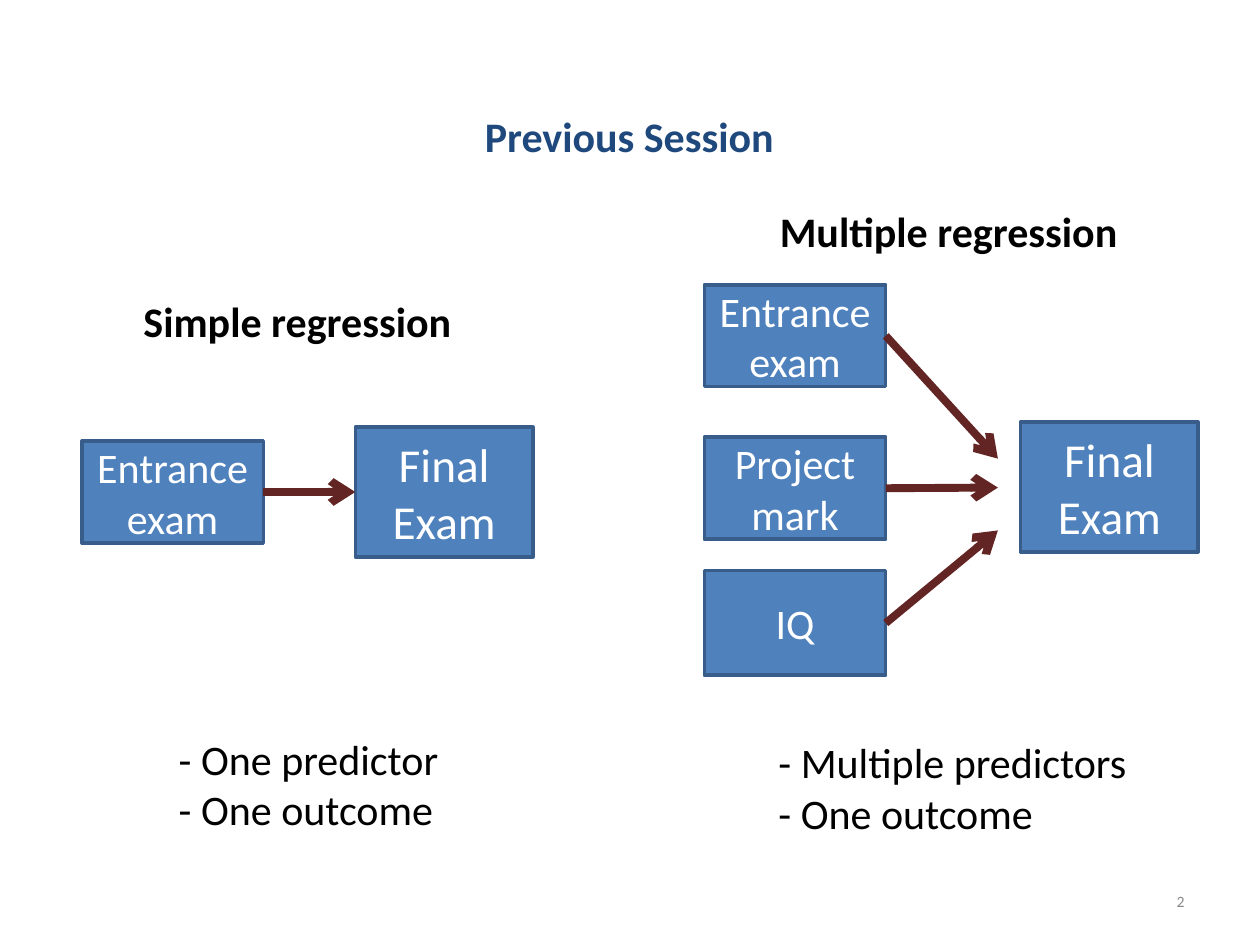
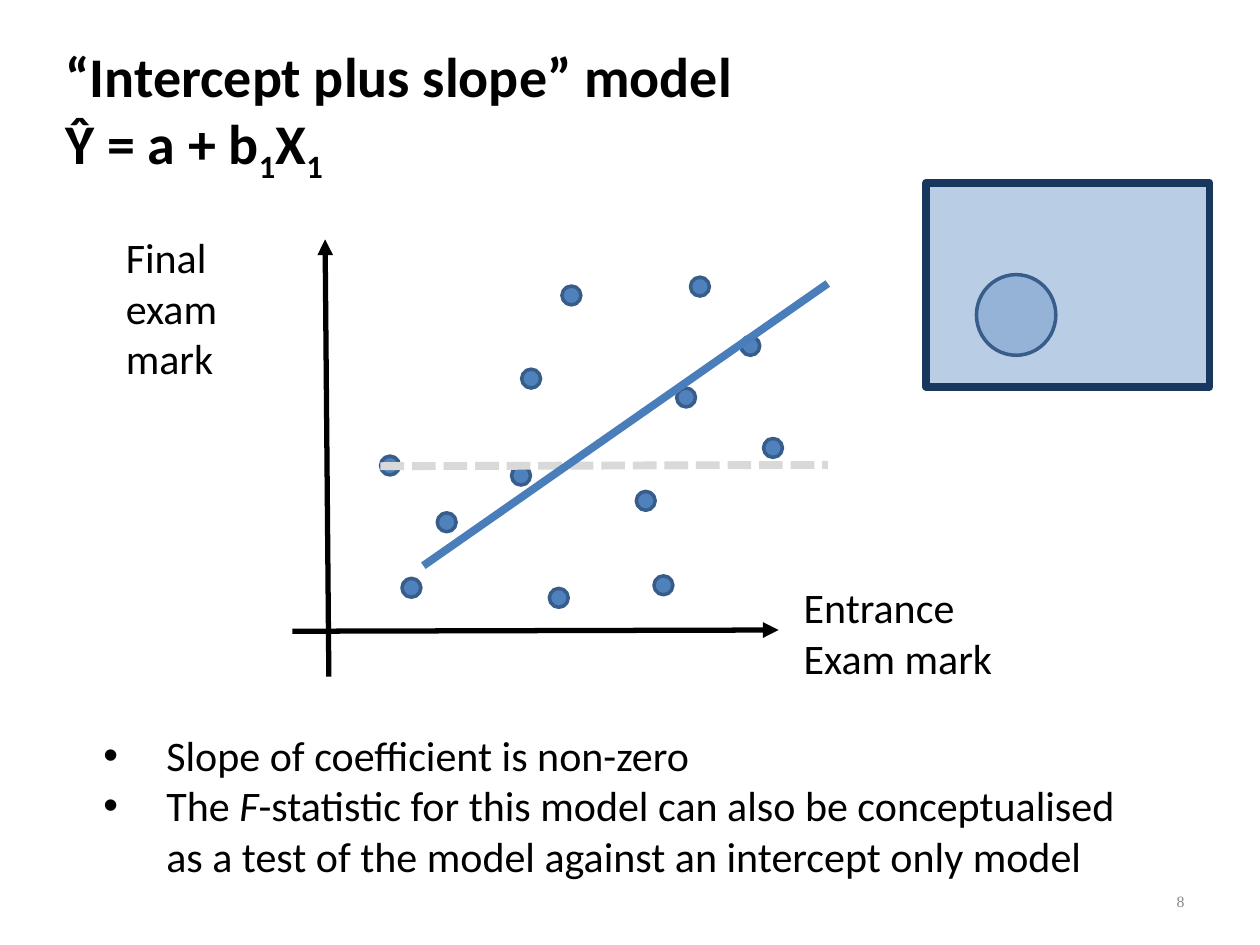
"""Builds two slides on simple and multiple regression and the intercept plus slope model."""
import pptx
import pptx.dml.color
import pptx.enum.dml
import pptx.enum.shapes
import pptx.enum.text
import pptx.oxml
import pptx.oxml.ns
import pptx.util
from pptx.util import Inches

SHAPES = pptx.enum.shapes.MSO_SHAPE
ALIGN = pptx.enum.text.PP_ALIGN
ANCHOR = pptx.enum.text.MSO_ANCHOR
DASHES = pptx.enum.dml.MSO_LINE

BLACK, WHITE, GREY = "000000", "FFFFFF", "898989"
BLUE, BLUE_EDGE, TITLE_BLUE = "4F81BD", "385D8A", "1F497D"
MAROON, TREND_BLUE, MEAN_GREY = "632523", "4A7EBB", "D9D9D9"
PANEL_BLUE, PANEL_EDGE = "B9CDE5", "17375E"

SESSION_TITLE = "Previous Session"
PREDICTOR_WIDTH = 1.44
OUTCOME_SIZE = (1.41, 1.03)
OUTCOME = "Final Exam"
SIMPLE_PREDICTOR = ("Entrance exam", (0.65, 3.5, PREDICTOR_WIDTH, 0.81))
SIMPLE_OUTCOME_AT = (2.82, 3.39)
MULTIPLE_OUTCOME_AT = (8.1, 3.35)
PREDICTOR_LEFT, ARROW_END = 5.59, 7.92
MULTIPLE_PREDICTORS = [
    ("Entrance exam", 2.26, 0.81, 3.64),
    ("Project mark", 3.47, 0.81, 3.87),
    ("IQ", 4.53, 0.83, 4.21),
]
SESSION_LABELS = [
    ("Simple regression", (1.04, 2.3, 2.65, 0.5), True),
    ("Multiple regression", (6.09, 1.58, 2.89, 0.5), True),
    ("- One predictor\n- One outcome", (1.32, 5.77, 2.27, 0.9), False),
    ("- Multiple predictors\n- One outcome", (6.08, 5.8, 2.97, 0.9), False),
]

MODEL_TITLE = "“Intercept plus slope” model"
MODEL_FORMULA = [("Ŷ = a + b", False), ("1", True), ("X", False), ("1", True)]
MODEL_POINTS = [
    [("Slope of coefficient is non-zero", False)],
    [("The ", False), ("F", True),
     ("-statistic for this model can also be conceptualised as a test "
      "of the model against an intercept only model", False)],
]
AXIS_LABELS = [
    ("Entrance\nExam mark", (6.28, 4.57, 1.7, 0.9)),
    ("Final\nexam\nmark", (0.9, 1.79, 0.93, 1.3)),
]
AXES = [((2.32, 5.01), (6.18, 5)), ((2.61, 5.37), (2.58, 1.9))]
DOT_SIZE = 0.15
DOTS = [
    (4.14, 2.93), (3.02, 3.62), (3.47, 4.07), (5.37, 3.08), (4.06, 3.7),
    (3.19, 4.59), (5.19, 4.57), (5.05, 3.9), (4.46, 2.27), (5.88, 2.67),
    (6.06, 3.48), (5.48, 2.2), (4.36, 4.67),
]
MEAN_LINE = ((3.02, 3.7), (6.57, 3.69))
TREND_LINE = ((3.36, 4.49), (6.57, 2.25))
VARIANCE_PANEL = (7.35, 1.45, 2.25, 1.62)
EXPLAINED_CIRCLE = (7.75, 2.18, 0.63, 0.64)


def rgb(value):
    return pptx.dml.color.RGBColor.from_string(value)


def place(shape, box):
    shape.left, shape.top, shape.width, shape.height = map(Inches, box)


def format_text(shape, size, color=BLACK, bold=False, align=ALIGN.LEFT,
                anchor=ANCHOR.TOP, wrap=True, font="Calibri"):
    frame = shape.text_frame
    frame.auto_size = pptx.enum.text.MSO_AUTO_SIZE.NONE
    frame.word_wrap = wrap
    frame.vertical_anchor = anchor
    for paragraph in frame.paragraphs:
        paragraph.alignment = align
        paragraph.space_before = pptx.util.Pt(0)
        for run in paragraph.runs:
            run.font.name = font
            run.font.size = pptx.util.Pt(size)
            run.font.bold = bold
            run.font.color.rgb = rgb(color)


def add_runs(paragraph, pieces):
    runs = []
    for text, marked in pieces:
        run = paragraph.add_run()
        run.text = text
        if marked:
            runs.append(run)
    return runs


def add_label(slide, text, box, size=24, **style):
    label = slide.shapes.add_textbox(*map(Inches, box))
    label.text_frame.text = text
    format_text(label, size, **{"wrap": False, **style})


def add_page_number(slide, number, font):
    add_label(slide, number, (7.17, 6.95, 2.33, 0.4), 9, color=GREY, wrap=True,
              align=ALIGN.RIGHT, anchor=ANCHOR.MIDDLE, font=font)


def add_figure(slide, kind, box, fill=BLUE, edge=BLUE_EDGE, width=2):
    figure = slide.shapes.add_shape(kind, *map(Inches, box))
    figure.shadow.inherit = False
    figure.fill.solid()
    figure.fill.fore_color.rgb = rgb(fill)
    figure.line.color.rgb = rgb(edge)
    figure.line.width = pptx.util.Pt(width)
    return figure


def add_variable(slide, text, box, size=24):
    variable = add_figure(slide, SHAPES.RECTANGLE, box)
    variable.text_frame.text = text
    format_text(variable, size, WHITE, align=ALIGN.CENTER, anchor=ANCHOR.MIDDLE)
    return variable


def add_line(slide, start, end, color, width=4.5, head=None, dash=None):
    line = slide.shapes.add_connector(pptx.enum.shapes.MSO_CONNECTOR.STRAIGHT,
                                      *map(Inches, (*start, *end)))
    line.line.color.rgb = rgb(color)
    line.line.width = pptx.util.Pt(width)
    if dash:
        line.line.dash_style = dash
    properties = line._element.spPr
    if head:
        outline = properties.find(pptx.oxml.ns.qn("a:ln"))
        tail = pptx.oxml.parse_xml(f'<a:tailEnd {pptx.oxml.ns.nsdecls("a")} type="{head}"/>')
        outline.append(tail)
    properties.append(pptx.oxml.parse_xml(f'<a:effectLst {pptx.oxml.ns.nsdecls("a")}/>'))
    return line


def add_effect(slide, predictor, end):
    start = ((predictor.left + predictor.width) / Inches(1),
             (predictor.top + predictor.height / 2) / Inches(1))
    arrow = add_line(slide, start, end, MAROON, head="arrow")
    arrow.begin_connect(predictor, 3)
    return arrow


def build_session_slide(presentation):
    slide = presentation.slides.add_slide(presentation.slide_layouts[5])
    title = slide.shapes.title
    place(title, (1.62, 0.73, 6.75, 0.69))
    title.text_frame.text = SESSION_TITLE
    format_text(title, 24, TITLE_BLUE, True, ALIGN.CENTER, ANCHOR.MIDDLE)
    add_page_number(slide, "2", "Calibri")

    for name, top, height, target in MULTIPLE_PREDICTORS:
        box = (PREDICTOR_LEFT, top, PREDICTOR_WIDTH, height)
        add_effect(slide, add_variable(slide, name, box), (ARROW_END, target))
    add_variable(slide, OUTCOME, (*MULTIPLE_OUTCOME_AT, *OUTCOME_SIZE), 27)

    predictor = add_variable(slide, *SIMPLE_PREDICTOR)
    outcome = add_variable(slide, OUTCOME, (*SIMPLE_OUTCOME_AT, *OUTCOME_SIZE), 27)
    add_effect(slide, predictor, SIMPLE_OUTCOME_AT).end_connect(outcome, 1)

    for text, box, bold in SESSION_LABELS:
        add_label(slide, text, box, bold=bold)


def build_model_slide(presentation):
    slide = presentation.slides.add_slide(presentation.slide_layouts[1])
    title, body = slide.placeholders[0], slide.placeholders[1]
    place(title, (0.42, 0.28, 5.8, 1.24))
    title.text_frame.text = MODEL_TITLE
    subscripts = add_runs(title.text_frame.add_paragraph(), MODEL_FORMULA)
    format_text(title, 32, bold=True)
    for run in subscripts:
        run.font._element.set("baseline", "-25000")

    place(body, (0.72, 5.74, 8.56, 1.3))
    for index, pieces in enumerate(MODEL_POINTS):
        frame = body.text_frame
        paragraph = frame.add_paragraph() if index else frame.paragraphs[0]
        for run in add_runs(paragraph, pieces):
            run.font.italic = True
        properties = paragraph._p.get_or_add_pPr()
        properties.set("marL", str(Inches(0.5)))
        properties.set("indent", str(-Inches(0.5)))
    format_text(body, 24)
    add_page_number(slide, "8", "Times New Roman")

    for start, end in AXES:
        add_line(slide, start, end, BLACK, 3, "triangle")
    for dot in DOTS:
        add_figure(slide, SHAPES.OVAL, (*dot, DOT_SIZE, DOT_SIZE))
    add_line(slide, *MEAN_LINE, MEAN_GREY, dash=DASHES.SQUARE_DOT)
    for text, box in AXIS_LABELS:
        add_label(slide, text, box)
    add_line(slide, *TREND_LINE, TREND_BLUE)

    add_figure(slide, SHAPES.RECTANGLE, VARIANCE_PANEL, PANEL_BLUE, PANEL_EDGE, 4.5)
    circle = add_figure(slide, SHAPES.OVAL, EXPLAINED_CIRCLE)
    color = circle._element.spPr.find(pptx.oxml.ns.qn("a:solidFill"))[0]
    color.append(pptx.oxml.parse_xml(f'<a:alpha {pptx.oxml.ns.nsdecls("a")} val="34000"/>'))


def main():
    presentation = pptx.Presentation()
    presentation.slide_width, presentation.slide_height = Inches(10), Inches(7.5)
    build_session_slide(presentation)
    build_model_slide(presentation)
    presentation.save("out.pptx")


if __name__ == "__main__":
    main()
